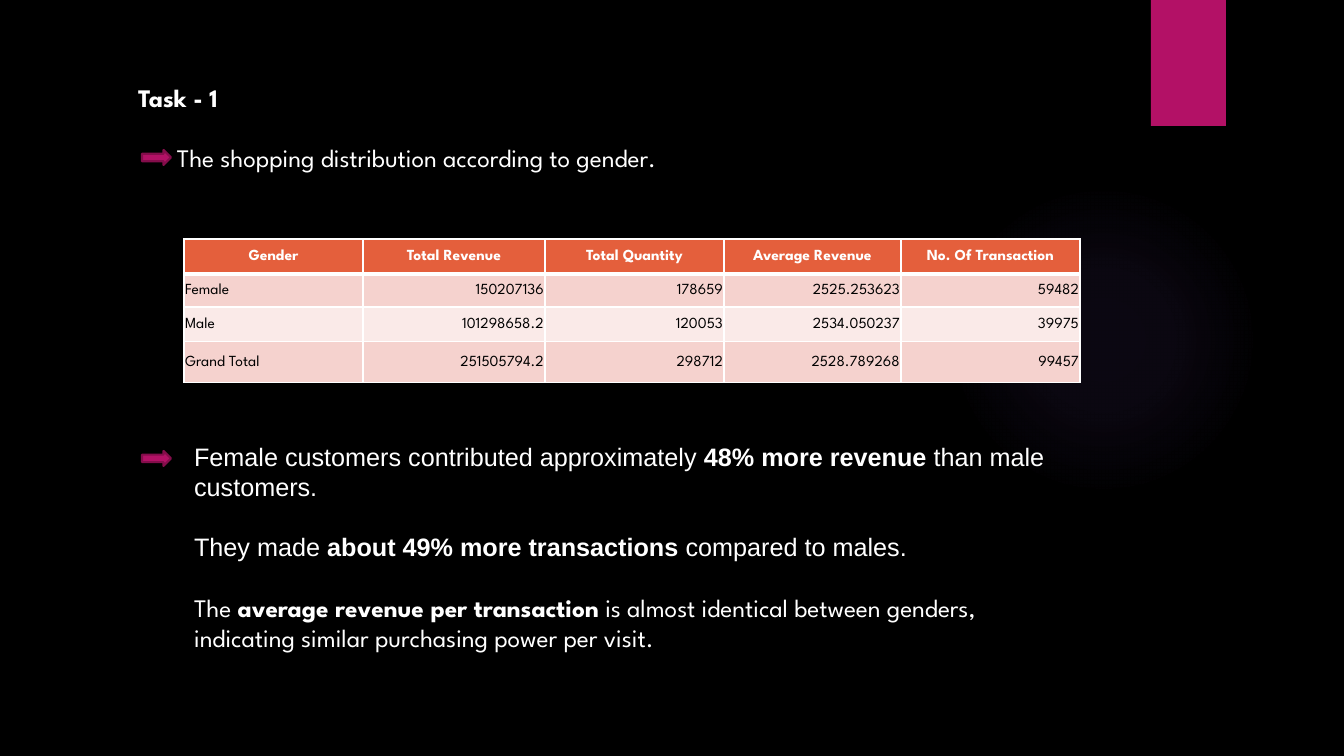
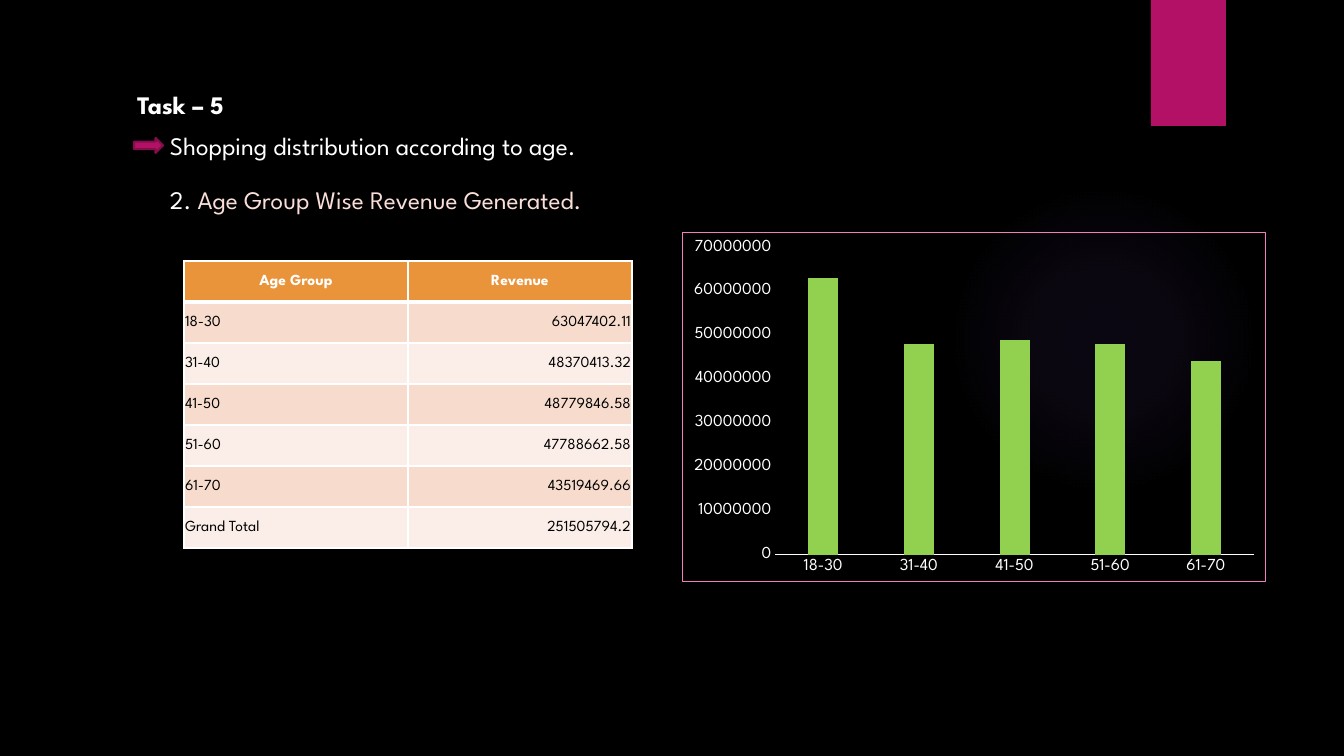
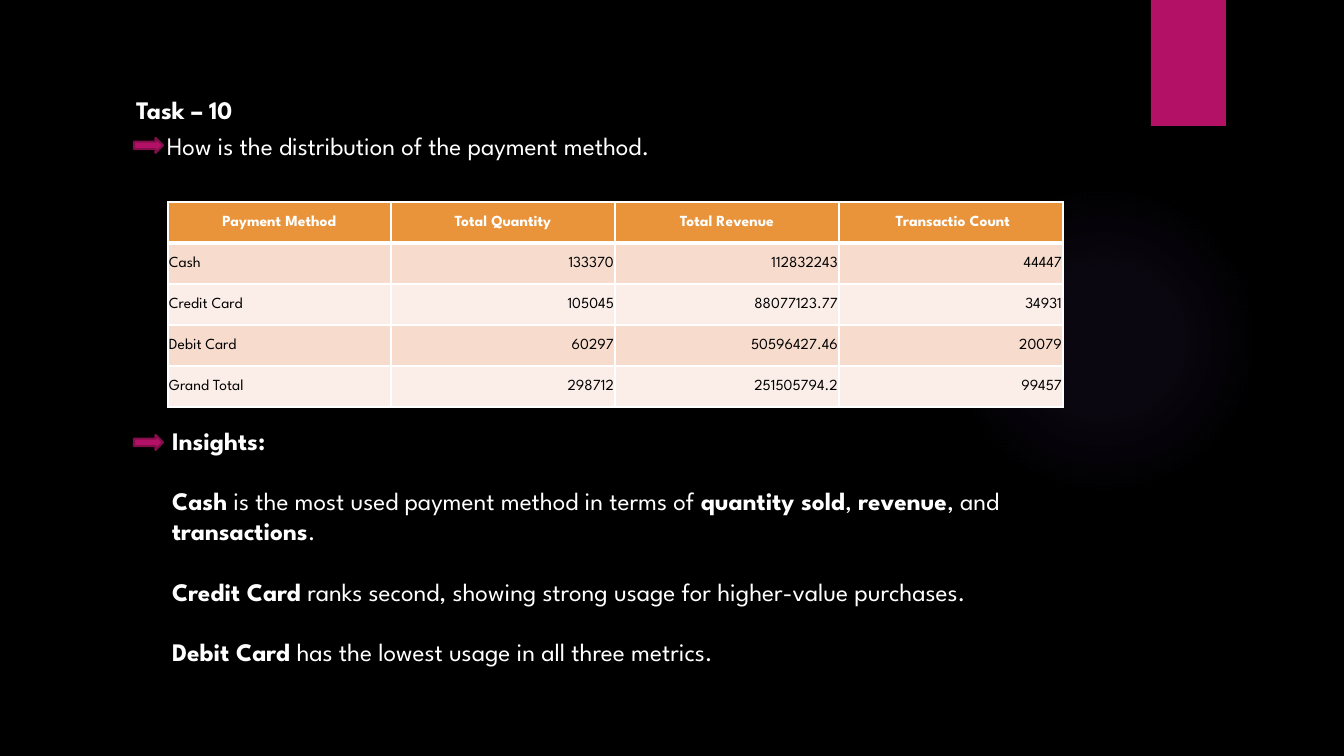
"""Build three sales report slides with tables, a chart and insights."""
from dataclasses import dataclass

from pptx import Presentation
from pptx.chart.data import CategoryChartData
from pptx.dml.color import RGBColor
from pptx.enum.chart import XL_CHART_TYPE, XL_TICK_MARK
from pptx.enum.shapes import MSO_SHAPE
from pptx.enum.text import MSO_ANCHOR, MSO_AUTO_SIZE, PP_ALIGN
from pptx.oxml import parse_xml
from pptx.oxml.ns import nsdecls, qn
from pptx.presentation import Presentation as Deck
from pptx.shapes.autoshape import Shape
from pptx.slide import Slide
from pptx.text.text import Font, TextFrame
from pptx.util import Emu, Pt

HUES = {
    "black": "000000", "white": "FFFFFF", "pink": "B31166", "plum": "840D4B",
    "glow": "9B6BF2", "rose": "F37EBB", "peach": "FADFD8", "lime": "92D050",
    "red": "E45F3C", "red_mid": "F5D2CE", "red_pale": "FAEAE8",
    "gold": "E9943A", "gold_mid": "F7DCCE", "gold_pale": "FBEEE8",
}
FACE = "League Spartan"
SCALE = 914400 / 100.8
WIDE, HIGH = 1344, 756
LINE = 40
GAP = Pt(21.6)
MILLION = 1000000


@dataclass(frozen=True)
class Box:
    """Hold a place and size in px."""
    left: int
    top: int
    width: int
    height: int


@dataclass(frozen=True)
class Lead:
    """Hold a line of text under the title, with its marked part in a hue."""
    left: int
    top: int
    text: str
    hue: str = "white"


@dataclass(frozen=True)
class Grid:
    """Hold a table, its place, its sizes and its tone."""
    left: int
    top: int
    cols: list[int]
    rows: list[int]
    tone: str
    cells: list[list[str]]


@dataclass(frozen=True)
class Point:
    """Hold an insight, where stars mark the bold words."""
    text: str
    face: str = FACE


@dataclass(frozen=True)
class Plot:
    """Hold a chart, its place and its values in millions."""
    box: Box
    name: str
    bars: dict[str, int]


@dataclass(frozen=True)
class Page:
    """Hold all that one slide shows."""
    title: str
    head: Box
    leads: list[Lead]
    arrows: list[tuple[int, int]]
    grid: Grid
    points: list[Point]
    body: Box | None = None
    plot: Plot | None = None


PAGES = [
    Page(
        "Task - 1", Box(128, 77, 147, LINE),
        [Lead(167, 137, "The shopping distribution according to gender.")],
        [(142, 150), (142, 451)],
        Grid(184, 239, [179, 182, 179, 177, 179], [35, 33, 35, 41], "red", [
            ["Gender", "Total Revenue", "Total Quantity", "Average Revenue",
             "No. Of Transaction"],
            ["Female", "150207136", "178659", "2525.253623", "59482"],
            ["Male", "101298658.2", "120053", "2534.050237", "39975"],
            ["Grand Total", "251505794.2", "298712", "2528.789268", "99457"],
        ]),
        [
            Point("Female customers contributed approximately "
                  "*48% more revenue* than male customers.", "Arial"),
            Point("They made *about 49% more transactions* compared to males.",
                  "Arial"),
            Point("The *average revenue per transaction* is almost identical "
                  "between genders, indicating similar purchasing power per visit."),
        ],
        body=Box(184, 436, 896, 254),
    ),
    Page(
        "Task – 5", Box(127, 84, 147, LINE),
        [Lead(160, 125, "Shopping distribution according to age."),
         Lead(160, 179, "2. *Age Group Wise Revenue Generated.*", "peach")],
        [(134, 138)],
        Grid(184, 261, [224] * 2, [41] * 7, "gold", [
            ["Age Group", "Revenue"],
            ["18-30", "63047402.11"],
            ["31-40", "48370413.32"],
            ["41-50", "48779846.58"],
            ["51-60", "47788662.58"],
            ["61-70", "43519469.66"],
            ["Grand Total", "251505794.2"],
        ]),
        [],
        plot=Plot(Box(682, 232, 584, 350), "Revenue", {
            "18-30": 63, "31-40": 48, "41-50": 49, "51-60": 48, "61-70": 44}),
    ),
    Page(
        "Task – 10", Box(126, 89, 147, LINE),
        [Lead(157, 125, "How is the distribution of the payment method.")],
        [(134, 138), (134, 435)],
        Grid(168, 202, [223, 224, 224, 224], [41] * 5, "gold", [
            ["Payment Method", "Total Quantity", "Total Revenue",
             " Transactio Count"],
            ["Cash", "133370", "112832243", "44447"],
            ["Credit Card", "105045", "88077123.77", "34931"],
            ["Debit Card", "60297", "50596427.46", "20079"],
            ["Grand Total", "298712", "251505794.2", "99457"],
        ]),
        [
            Point("*Insights:*"),
            Point("*Cash* is the most used payment method in terms of "
                  "*quantity sold*, *revenue*, and *transactions*."),
            Point("*Credit Card* ranks second, showing strong usage for "
                  "higher-value purchases."),
            Point("*Debit Card* has the lowest usage in all three metrics."),
        ],
        body=Box(162, 420, 901, 285),
    ),
]


def px(num: int) -> Emu:
    """Turn px into EMU."""
    return Emu(round(num * SCALE))


def spot(box: Box) -> tuple[Emu, Emu, Emu, Emu]:
    """Turn a box into EMU lengths."""
    return px(box.left), px(box.top), px(box.width), px(box.height)


def tint(hue: str) -> RGBColor:
    """Look up a colour by name."""
    return RGBColor.from_string(HUES[hue])


def style(font: Font, size: int = 18, hue: str = "white", bold: bool = False,
          face: str = FACE) -> None:
    """Set the face, size, colour and weight of a font."""
    font.name, font.size, font.bold = face, Pt(size), bold
    font.color.rgb = tint(hue)


def place(shape: Shape, box: Box) -> TextFrame:
    """Move a text shape and make its frame wrap from the top."""
    shape.left, shape.top, shape.width, shape.height = spot(box)
    frame = shape.text_frame
    frame.word_wrap = True
    frame.auto_size = MSO_AUTO_SIZE.NONE
    frame.vertical_anchor = MSO_ANCHOR.TOP
    return frame


def block(slide: Slide, kind: MSO_SHAPE, box: Box, hue: str) -> Shape:
    """Draw a flat preset shape without a line."""
    shape = slide.shapes.add_shape(kind, *spot(box))
    shape.shadow.inherit = False
    shape.fill.solid()
    shape.fill.fore_color.rgb = tint(hue)
    shape.line.fill.background()
    return shape


def theme(deck: Deck, slide: Slide) -> None:
    """Give the master its backdrop, glow and corner band."""
    master = deck.slide_master
    master.background.fill.solid()
    master.background.fill.fore_color.rgb = tint("black")
    glow = block(slide, MSO_SHAPE.OVAL, Box(949, 185, 310, 310), "glow")
    stops = "".join(
        f'<a:gs pos="{pos}000"><a:srgbClr val="{HUES["glow"]}">'
        f'<a:alpha val="{alpha}000"/></a:srgbClr></a:gs>'
        for pos, alpha in ((0, 7), (36, 6), (69, 0)))
    props = glow.element.spPr
    props.replace(props.find(qn("a:solidFill")), parse_xml(
        f'<a:gradFill {nsdecls("a")}><a:gsLst>{stops}</a:gsLst>'
        '<a:path path="circle"><a:fillToRect l="50000" t="50000" '
        'r="50000" b="50000"/></a:path></a:gradFill>'))
    band = block(slide, MSO_SHAPE.RECTANGLE, Box(1151, 0, 75, 126), "pink")
    for rank, shape in enumerate((glow, band), 2):
        master.shapes.element.insert(rank, shape.element)


def title(slide: Slide, page: Page) -> None:
    """Fill the title placeholder."""
    frame = place(slide.shapes.title, page.head)
    frame.text = page.title
    para = frame.paragraphs[0]
    para.alignment = PP_ALIGN.LEFT
    style(para.runs[0].font, bold=True)


def lead(slide: Slide, item: Lead) -> None:
    """Write one line under the title."""
    box = Box(item.left, item.top, 860, LINE)
    frame = place(slide.shapes.add_textbox(*spot(box)), box)
    for num, text in enumerate(item.text.split("*")):
        if text:
            run = frame.paragraphs[0].add_run()
            run.text = text
            style(run.font, hue=item.hue if num % 2 else "white")


def arrow(slide: Slide, left: int, top: int) -> None:
    """Draw a small marker arrow."""
    shape = block(slide, MSO_SHAPE.RIGHT_ARROW, Box(left, top, 29, 15), "pink")
    shape.line.color.rgb = tint("plum")
    shape.line.width = Pt(1.5)


def table(slide: Slide, grid: Grid) -> None:
    """Draw a table with a bold head and banded rows."""
    box = Box(grid.left, grid.top, sum(grid.cols), sum(grid.rows))
    tab = slide.shapes.add_table(len(grid.rows), len(grid.cols), *spot(box)).table
    for col, wide in zip(tab.columns, grid.cols):
        col.width = px(wide)
    for row, (line, high) in enumerate(zip(grid.cells, grid.rows)):
        tab.rows[row].height = px(high)
        shade = grid.tone + ("" if row == 0 else "_mid" if row % 2 else "_pale")
        for col, text in enumerate(line):
            cell = tab.cell(row, col)
            cell.text = text
            cell.vertical_anchor = MSO_ANCHOR.MIDDLE
            cell.margin_left = cell.margin_right = cell.margin_top = px(1)
            cell.margin_bottom = 0
            para = cell.text_frame.paragraphs[0]
            para.alignment = (PP_ALIGN.CENTER if row == 0 else
                              PP_ALIGN.RIGHT if col else PP_ALIGN.LEFT)
            style(para.runs[0].font, 11, "black" if row else "white", row == 0)
            for side in "LRTB":
                thick = Pt(3 if (row, side) in ((0, "B"), (1, "T")) else 1)
                cell._tc.get_or_add_tcPr().append(parse_xml(
                    f'<a:ln{side} {nsdecls("a")} w="{thick}"><a:solidFill>'
                    f'<a:srgbClr val="{HUES["white"]}"/></a:solidFill></a:ln{side}>'))
            cell.fill.solid()
            cell.fill.fore_color.rgb = tint(shade)


def graph(slide: Slide, plot: Plot) -> None:
    """Draw a framed column chart."""
    data = CategoryChartData()
    data.categories = list(plot.bars)
    data.add_series(plot.name, [num * MILLION for num in plot.bars.values()])
    chart = slide.shapes.add_chart(
        XL_CHART_TYPE.COLUMN_CLUSTERED, *spot(plot.box), data).chart
    chart.has_title = chart.has_legend = False
    style(chart.font, 10)
    chart.element.find(qn("c:txPr")).addprevious(parse_xml(
        f'<c:spPr {nsdecls("c", "a")}><a:noFill/><a:ln w="{Pt(0.75)}"><a:solidFill>'
        f'<a:srgbClr val="{HUES["rose"]}"/></a:solidFill></a:ln></c:spPr>'))
    for axis in (chart.category_axis, chart.value_axis):
        axis.has_major_gridlines = False
        axis.major_tick_mark = axis.minor_tick_mark = XL_TICK_MARK.NONE
        style(axis.tick_labels.font, 12)
    base = chart.category_axis.format.line
    base.color.rgb = tint("white")
    base.width = Pt(0.75)
    chart.value_axis.format.line.fill.background()
    chart.value_axis.minimum_scale = 0
    chart.value_axis.maximum_scale = 70 * MILLION
    chart.value_axis.major_unit = 10 * MILLION
    bars = chart.plots[0]
    bars.gap_width, bars.overlap = 219, -27
    bars.vary_by_categories = False
    fill = bars.series[0].format.fill
    fill.solid()
    fill.fore_color.rgb = tint("lime")


def body(slide: Slide, box: Box, points: list[Point]) -> None:
    """Fill the body placeholder with insights."""
    frame = place(slide.placeholders[1], box)
    for num, point in enumerate(points):
        para = frame.add_paragraph() if num else frame.paragraphs[0]
        para.space_before = GAP if num else Pt(0)
        props = para._p.get_or_add_pPr()
        props.set("marL", "0")
        props.set("indent", "0")
        props.append(parse_xml(f'<a:buNone {nsdecls("a")}/>'))
        for part, text in enumerate(point.text.split("*")):
            if text:
                run = para.add_run()
                run.text = text
                style(run.font, bold=part % 2 == 1, face=point.face)


def build(deck: Deck, page: Page) -> Slide:
    """Add one slide."""
    slide = deck.slides.add_slide(deck.slide_layouts[1 if page.body else 5])
    title(slide, page)
    for item in page.leads:
        lead(slide, item)
    for left, top in page.arrows:
        arrow(slide, left, top)
    table(slide, page.grid)
    if page.plot:
        graph(slide, page.plot)
    if page.body:
        body(slide, page.body, page.points)
    return slide


def main() -> None:
    """Build and save the deck."""
    deck = Presentation()
    deck.slide_width, deck.slide_height = px(WIDE), px(HIGH)
    slides = [build(deck, page) for page in PAGES]
    theme(deck, slides[0])
    deck.save("out.pptx")


if __name__ == "__main__":
    main()
